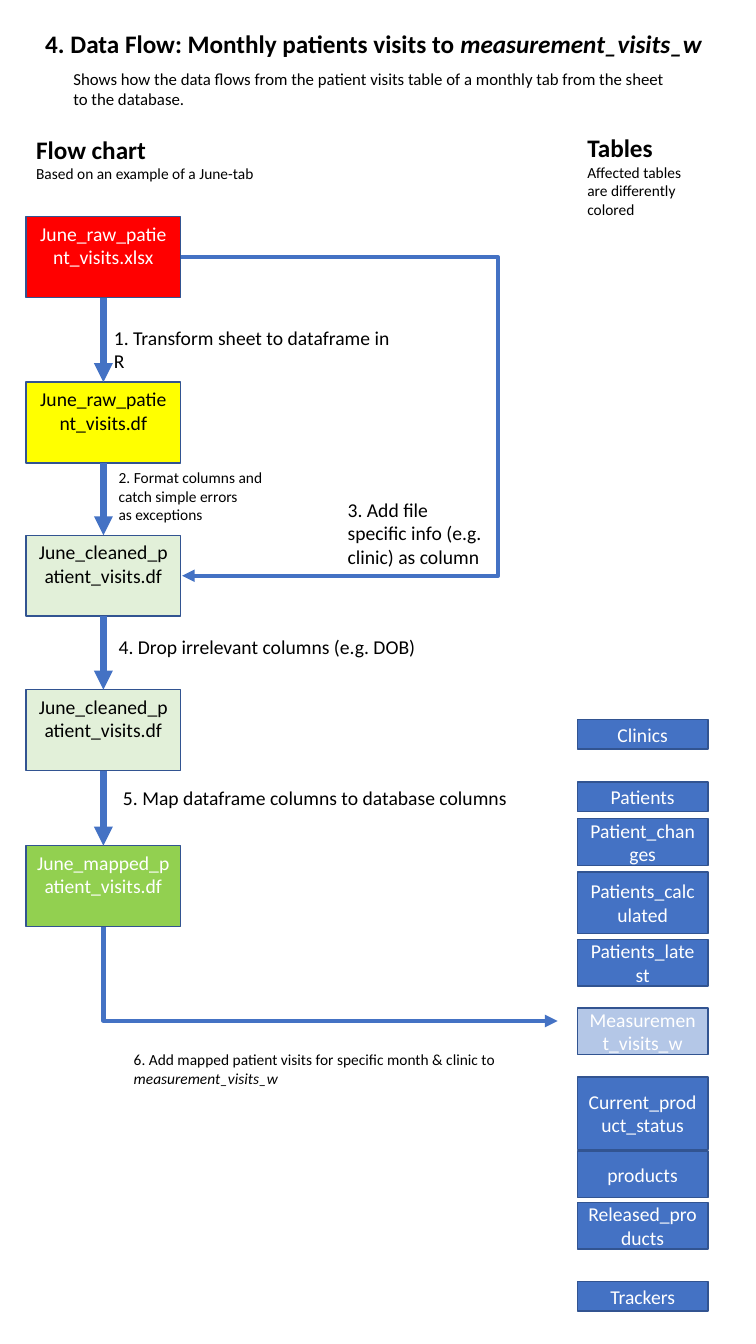
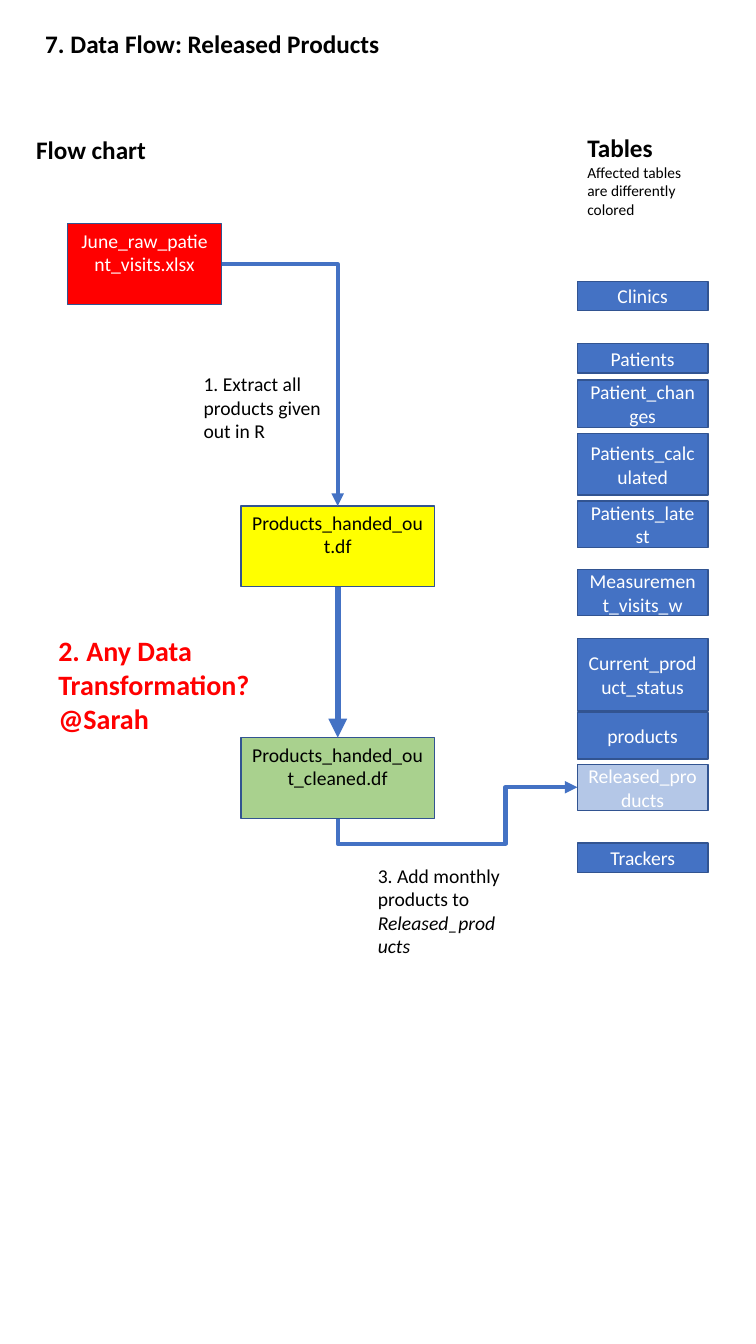
from lxml import etree
from pptx import Presentation
from pptx.dml.color import RGBColor
from pptx.enum.shapes import MSO_CONNECTOR, MSO_SHAPE
from pptx.enum.text import MSO_ANCHOR, MSO_AUTO_SIZE, PP_ALIGN
from pptx.oxml.ns import qn
from pptx.util import Cm, Pt

RECTANGLE = MSO_SHAPE.RECTANGLE
STRAIGHT, ELBOW = MSO_CONNECTOR.STRAIGHT, MSO_CONNECTOR.ELBOW
TOP, MIDDLE = MSO_ANCHOR.TOP, MSO_ANCHOR.MIDDLE
LEFT, CENTER = PP_ALIGN.LEFT, PP_ALIGN.CENTER
GROW = MSO_AUTO_SIZE.SHAPE_TO_FIT_TEXT

FONT = "Calibri"
BLACK, WHITE, RED, YELLOW = "000000", "FFFFFF", "FF0000", "FFFF00"
BLUE, PALE_BLUE, OUTLINE = "4472C4", "B4C7E7", "325491"
PALE_GREEN, LIME, GREEN = "E2F0D9", "92D050", "A9D18E"

PAGE_WIDTH, PAGE_HEIGHT = 19.05, 33.87
STEP_WIDTH, STEP_HEIGHT = 3.89, 2.04
TABLE_LEFT, TABLE_WIDTH = 14.55, 3.29
TABLES = [
    ("Clinics", 0, 0.74),
    ("Patients", 1.57, 0.74),
    ("Patient_changes", 2.49, 1.19),
    ("Patients_calculated", 3.84, 1.55),
    ("Patients_latest", 5.54, 1.17),
    ("Measurement_visits_w", 7.26, 1.17),
    ("Current_product_status", 9, 1.83),
    ("products", 10.87, 1.17),
    ("Released_products", 12.17, 1.17),
    ("Trackers", 14.16, 0.74),
]


def color(value):
    return RGBColor.from_string(value)


def add_span(para, text, size, ink=BLACK, bold=False, italic=False):
    for index, line in enumerate(text.split("\n")):
        if index:
            para.add_line_break()
        span = para.add_run()
        span.text = line
        span.font.name = FONT
        span.font.size = Pt(size)
        span.font.bold = bold
        span.font.italic = italic
        span.font.color.rgb = color(ink)


def add_text(page, left, top, width, height, text, size=14, ink=BLACK,
             bold=False, italic_tail="", note="", wrap=True):
    box = page.shapes.add_textbox(Cm(left), Cm(top), Cm(width), Cm(height))
    frame = box.text_frame
    frame.word_wrap = wrap
    frame.auto_size = GROW
    para = frame.paragraphs[0]
    para.alignment = LEFT
    add_span(para, text, size, ink, bold)
    if italic_tail:
        add_span(para, italic_tail, size, ink, bold, True)
    if note:
        add_span(frame.add_paragraph(), note, 11)


def add_box(page, left, top, width, height, text, fill, ink, anchor=TOP):
    box = page.shapes.add_shape(RECTANGLE, Cm(left), Cm(top), Cm(width), Cm(height))
    box.shadow.inherit = False
    box.fill.solid()
    box.fill.fore_color.rgb = color(fill)
    box.line.color.rgb = color(OUTLINE)
    box.line.width = Pt(1)
    frame = box.text_frame
    frame.word_wrap = True
    frame.vertical_anchor = anchor
    para = frame.paragraphs[0]
    para.alignment = CENTER
    add_span(para, text, 14, ink)
    return box


def style_arrow(arrow, weight):
    arrow.line.color.rgb = color(BLUE)
    arrow.line.width = Pt(weight)
    shape_props = arrow.element.spPr
    etree.SubElement(shape_props.find(qn("a:ln")), qn("a:tailEnd"), type="triangle")
    etree.SubElement(shape_props, qn("a:effectLst"))


def join_down(page, upper, lower):
    arrow = page.shapes.add_connector(STRAIGHT, 0, 0, 0, 0)
    arrow.begin_connect(upper, 2)
    arrow.end_connect(lower, 0)
    style_arrow(arrow, 4.5)


def add_elbow(page, start, end, preset, turn=0, flips=(), bends=()):
    width, height = abs(end[0] - start[0]), abs(end[1] - start[1])
    center_x, center_y = (start[0] + end[0]) / 2, (start[1] + end[1]) / 2
    if turn % 180:
        width, height = height, width
    arrow = page.shapes.add_connector(
        ELBOW, Cm(center_x - width / 2), Cm(center_y - height / 2),
        Cm(center_x + width / 2), Cm(center_y + height / 2))
    style_arrow(arrow, 3)
    frame = arrow.element.spPr.find(qn("a:xfrm"))
    if turn:
        frame.set("rot", str(turn * 60000))
    for flip in flips:
        frame.set(flip, "1")
    geometry = arrow.element.spPr.find(qn("a:prstGeom"))
    geometry.set("prst", preset)
    guides = geometry.find(qn("a:avLst"))
    for index, bend in enumerate(bends, 1):
        etree.SubElement(guides, qn("a:gd"), name=f"adj{index}",
                         fmla=f"val {round(bend * 100000)}")


def add_heading(page, title, italic_tail="", subtitle="", note="", note_width=3.3):
    add_text(page, 0.89, 0.58, 17.09, 1.02, title, 18, bold=True, italic_tail=italic_tail)
    if subtitle:
        add_text(page, 1.6, 1.6, 15.7, 1.27, subtitle, 12)
    add_text(page, 0.66, 3.25, note_width, 1.5 if note else 1.02, "Flow chart", 18,
             bold=True, note=note, wrap=False)
    add_text(page, TABLE_LEFT, 3.22, TABLE_WIDTH, 2.44, "Tables", 18, bold=True,
             note="Affected tables are differently colored")


def add_tables(page, left, top, affected):
    for name, offset, height in TABLES:
        fill = PALE_BLUE if name == affected else BLUE
        add_box(page, left, top + offset, TABLE_WIDTH, height, name, fill, WHITE, MIDDLE)


def add_visits_flow(page, left, top):
    steps = [
        ("June_raw_patient_visits.xlsx", 0, RED, WHITE),
        ("June_raw_patient_visits.df", 4.17, YELLOW, BLACK),
        ("June_cleaned_patient_visits.df", 8.03, PALE_GREEN, BLACK),
        ("June_cleaned_patient_visits.df", 11.92, PALE_GREEN, BLACK),
        ("June_mapped_patient_visits.df", 15.85, LIME, WHITE),
    ]
    boxes = [add_box(page, left, top + offset, STEP_WIDTH, STEP_HEIGHT, name, fill, ink)
             for name, offset, fill, ink in steps]
    for upper, lower in zip(boxes, boxes[1:]):
        join_down(page, upper, lower)

    right = left + STEP_WIDTH
    reach, nudge = 8, 0.04
    add_elbow(page, (right, top + 1.02), (right + nudge, top + 9.05),
              "bentConnector3", bends=[reach / nudge])
    middle = left + STEP_WIDTH / 2
    add_elbow(page, (middle, top + 15.85 + STEP_HEIGHT), (left + 13.39, top + 20.27),
              "bentConnector2", 270, ["flipH"])

    add_text(page, left + 1.96, top + 2.62, 7.8, 0.86,
             "1. Transform sheet to dataframe in R", wrap=False)
    add_text(page, left + 2.08, top + 6.22, 4.85, 1.68,
             "2. Format columns and catch simple errors \nas exceptions", 11)
    add_text(page, left + 7.85, top + 6.96, 3.99, 2.06,
             "3. Add file specific info (e.g. clinic) as column")
    add_text(page, left + 2.08, top + 10.42, 8.05, 0.86,
             "4. Drop irrelevant columns (e.g. DOB)", wrap=False)
    add_text(page, left + 2.19, top + 14.23, 10.26, 0.86,
             "5. Map dataframe columns to database columns", wrap=False)
    add_text(page, left + 2.46, top + 20.88, 9.98, 1.19,
             "6. Add mapped patient visits for specific month & clinic to ", 11,
             italic_tail="measurement_visits_w")


def add_products_flow(page, left, top):
    product_left, product_width = left + 4.37, 4.88
    middle = product_left + product_width / 2
    add_box(page, left, top, STEP_WIDTH, STEP_HEIGHT,
            "June_raw_patient_visits.xlsx", RED, WHITE)
    handed_out = add_box(page, product_left, top + 7.11, product_width, STEP_HEIGHT,
                         "Products_handed_out.df", YELLOW, BLACK)
    cleaned = add_box(page, product_left, top + 12.95, product_width, STEP_HEIGHT,
                      "Products_handed_out_cleaned.df", GREEN, BLACK)
    join_down(page, handed_out, cleaned)
    add_elbow(page, (left + STEP_WIDTH, top + 1.02), (middle, top + 7.11),
              "bentConnector2")
    add_elbow(page, (middle, top + 12.95 + STEP_HEIGHT), (TABLE_LEFT, top + 14.2),
              "bentConnector4", 90, ["flipH", "flipV"], [-0.8, 0.7])

    add_text(page, left + 3.18, top + 3.61, 3.61, 2.06,
             "1. Extract all products given out in R")
    add_text(page, left - 0.48, top + 10.21, 6.5, 2.82,
             "2. Any Data Transformation? @Sarah", 20, RED, True)
    add_text(page, left + 7.57, top + 16, 3.61, 2.64,
             "3. Add monthly products to ", italic_tail="Released_products")


def add_page(deck):
    return deck.slides.add_slide(deck.slide_layouts[6])


deck = Presentation()
deck.slide_width, deck.slide_height = Cm(PAGE_WIDTH), Cm(PAGE_HEIGHT)

visits = add_page(deck)
add_heading(visits, "4. Data Flow: Monthly patients visits to ", "measurement_visits_w",
            "Shows how the data flows from the patient visits table of a monthly tab "
            "from the sheet to the database.",
            "Based on an example of a June-tab", 6.05)
add_visits_flow(visits, 0.66, 5.46)
add_tables(visits, TABLE_LEFT, 18.14, "Measurement_visits_w")

products = add_page(deck)
add_heading(products, "7. Data Flow: Released Products")
add_products_flow(products, 1.7, 5.64)
add_tables(products, TABLE_LEFT, 7.09, "Released_products")

deck.save("out.pptx")
